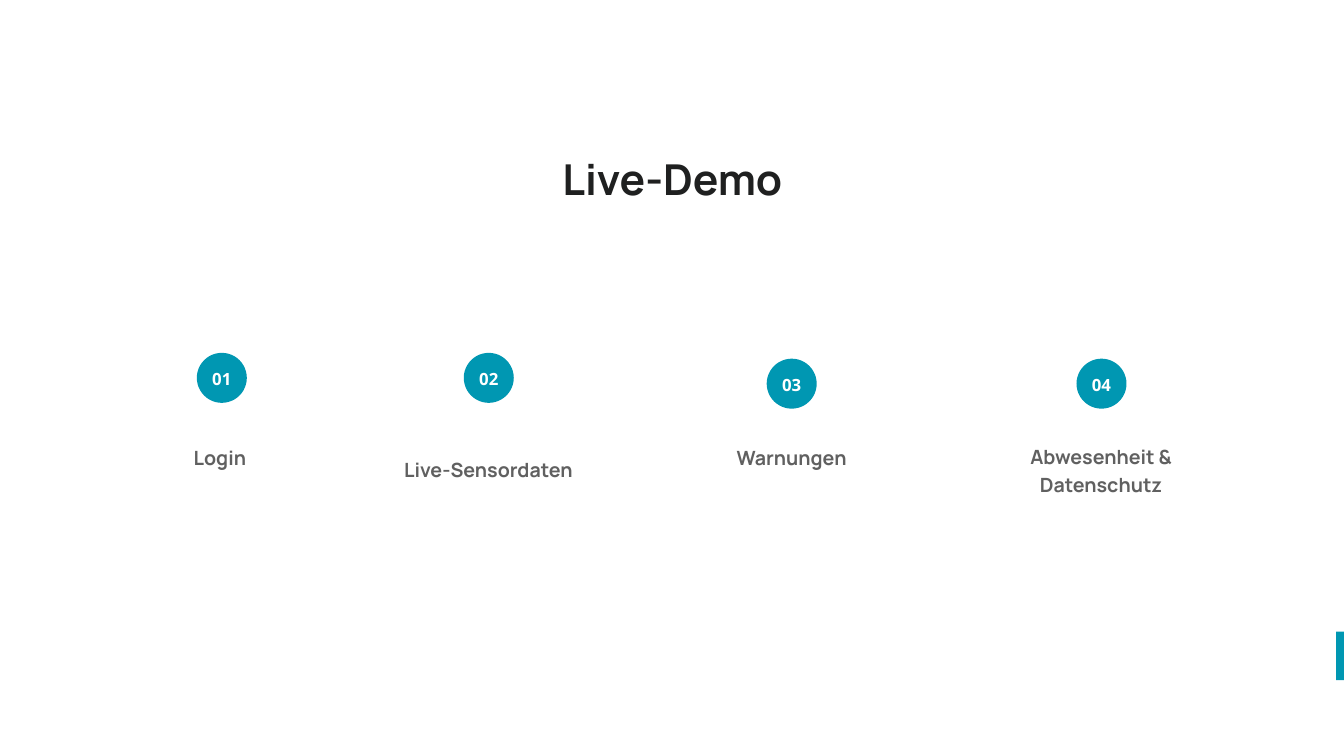
from pptx import Presentation
from pptx.dml.color import RGBColor
from pptx.enum.shapes import MSO_SHAPE
from pptx.enum.text import PP_ALIGN
from pptx.util import Cm, Pt

OVAL = MSO_SHAPE.OVAL
RECTANGLE = MSO_SHAPE.RECTANGLE
CENTER = PP_ALIGN.CENTER

TEAL, DARK, GREY, WHITE = "0097B2", "1F2020", "606060", "FFFFFF"
HEADING_FONT, NUMBER_FONT = "Manrope", "Open Sans"
BADGE_SIZE = 1.89

# Label, label box (left, top, width, height), badge (left, top)
STEPS = [
    ("Login ", (6.2, 16.69, 4.37, 1.04), (7.44, 13.34)),
    ("Live-Sensordaten", (15.21, 17.15, 6.5, 2.08), (17.53, 13.34)),
    ("Warnungen", (26.95, 16.69, 5.94, 1.04), (28.98, 13.56)),
    ("Abwesenheit & Datenschutz", (38.63, 16.69, 5.97, 2.08), (40.69, 13.56)),
]


def color(hex_value):
    return RGBColor.from_string(hex_value)


def add_filled_shape(slide, kind, left, top, width, height):
    shape = slide.shapes.add_shape(kind, Cm(left), Cm(top), Cm(width), Cm(height))
    shape.shadow.inherit = False
    shape.fill.solid()
    shape.fill.fore_color.rgb = color(TEAL)
    shape.line.fill.background()


def add_text(slide, text, box, font_name, size, line_spacing, hex_value):
    text_box = slide.shapes.add_textbox(*(Cm(length) for length in box))
    frame = text_box.text_frame
    frame.word_wrap = True
    frame.margin_left = frame.margin_right = 0
    frame.margin_top = frame.margin_bottom = 0
    paragraph = frame.paragraphs[0]
    paragraph.text = text
    paragraph.alignment = CENTER
    paragraph.line_spacing = Pt(line_spacing)
    font = paragraph.font
    font.name = font_name
    font.size = Pt(size)
    font.bold = True
    font.color.rgb = color(hex_value)


def add_badge(slide, number, left, top):
    add_filled_shape(slide, OVAL, left, top, BADGE_SIZE, BADGE_SIZE)
    number_box = (left + 0.26, top + 0.49, BADGE_SIZE - 0.52, 0.84)
    add_text(slide, f"{number:02d}", number_box, NUMBER_FONT, 18, 25.2, WHITE)


def main():
    presentation = Presentation()
    presentation.slide_width = Cm(50.8)
    presentation.slide_height = Cm(28.58)
    slide = presentation.slides.add_slide(presentation.slide_layouts[6])
    slide.background.fill.solid()
    slide.background.fill.fore_color.rgb = color(WHITE)

    # Accent bar at the right edge
    add_filled_shape(slide, RECTANGLE, 50.5, 23.88, 0.3, 1.83)

    # Title
    title_box = (18.49, 5.82, 13.84, 2.03)
    add_text(slide, "Live-Demo", title_box, HEADING_FONT, 45.6, 53.4, DARK)

    # Numbered demo steps
    for number, (label, label_box, badge_position) in enumerate(STEPS, start=1):
        add_text(slide, label, label_box, HEADING_FONT, 21, 29.4, GREY)
        add_badge(slide, number, *badge_position)

    presentation.save("out.pptx")


if __name__ == "__main__":
    main()
